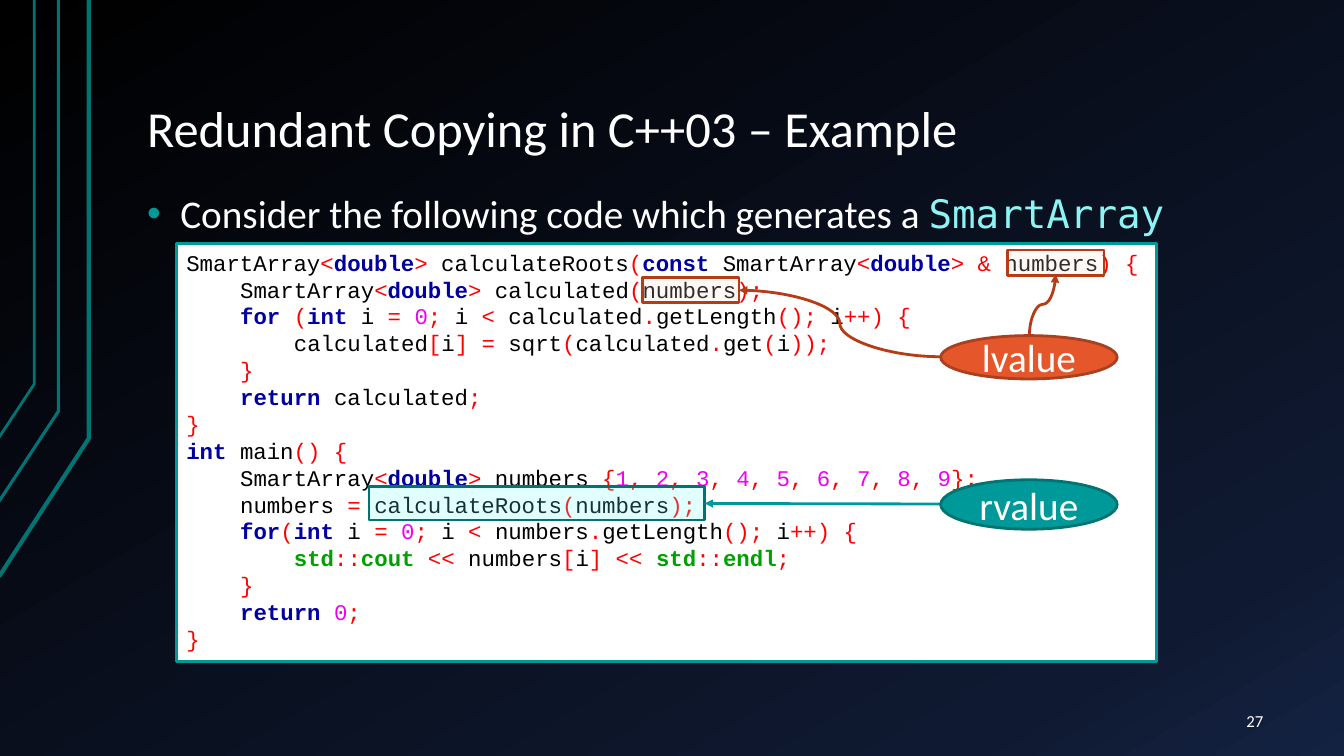
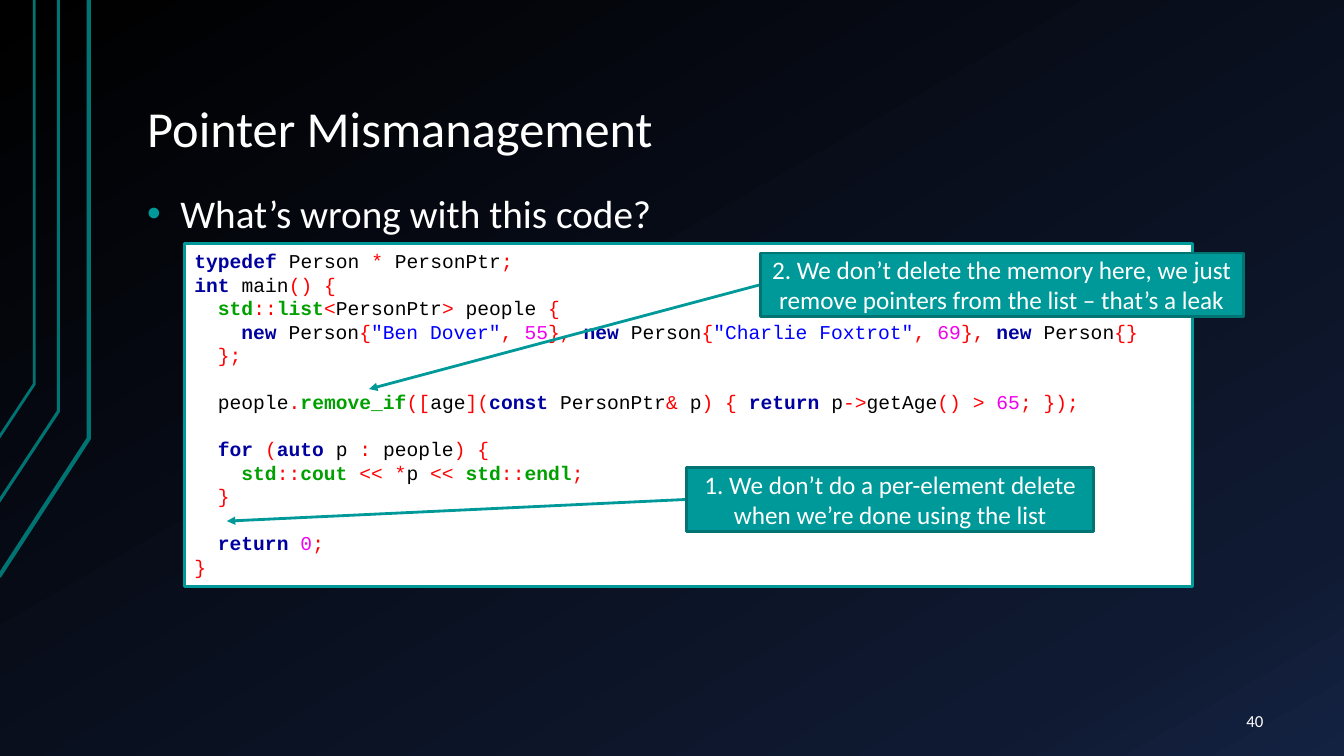
"""Build two C++ teaching slides: redundant copying and pointer mismanagement."""
from itertools import groupby

from lxml import etree
from pptx import Presentation
from pptx.dml.color import RGBColor
from pptx.enum.shapes import MSO_CONNECTOR, MSO_SHAPE
from pptx.enum.text import MSO_ANCHOR, MSO_AUTO_SIZE, PP_ALIGN
from pptx.oxml.ns import qn
from pptx.util import Inches, Pt

RECT, OVAL = MSO_SHAPE.RECTANGLE, MSO_SHAPE.OVAL
STRAIGHT, CURVE = MSO_CONNECTOR.STRAIGHT, MSO_CONNECTOR.CURVE
TOP, MIDDLE, BOTTOM = MSO_ANCHOR.TOP, MSO_ANCHOR.MIDDLE, MSO_ANCHOR.BOTTOM
LEFT, CENTER, RIGHT = PP_ALIGN.LEFT, PP_ALIGN.CENTER, PP_ALIGN.RIGHT
NO_AUTOFIT = MSO_AUTO_SIZE.NONE
LEFT_SIDE, RIGHT_SIDE = 1, 3

WHITE = RGBColor(0xFF, 0xFF, 0xFF)
BLACK = RGBColor(0x00, 0x00, 0x00)
TEAL = RGBColor(0x00, 0x99, 0x99)
DARK_TEAL = RGBColor(0x00, 0x73, 0x73)
AQUA = RGBColor(0x70, 0xFF, 0xFF)
PALE_AQUA = RGBColor(0x8C, 0xF4, 0xF2)
ORANGE = RGBColor(0xE5, 0x57, 0x2B)
BROWN = RGBColor(0xA9, 0x40, 0x20)
RUST = RGBColor(0xB6, 0x3C, 0x16)
PEACH = RGBColor(0xFA, 0xDD, 0xD5)
SYMBOL_RED = RGBColor(0xFF, 0x00, 0x00)
KEYWORD_NAVY = RGBColor(0x00, 0x00, 0xA0)
LIBRARY_GREEN = RGBColor(0x00, 0xA0, 0x00)
NUMBER_PINK = RGBColor(0xF0, 0x00, 0xF0)
STRING_BLUE = RGBColor(0x00, 0x00, 0xFF)

BODY_FONT, CODE_FONT, NAME_FONT = "Calibri", "Courier New", "DejaVu Sans Mono"
KEYWORDS = {"double", "const", "for", "int", "return", "typedef", "new", "auto"}
LIBRARY = {"std", "cout", "endl", "list", "remove_if"}
BACKGROUND_STOPS = [(0, "000000"), (85, "0F1931"), (100, "142242")]
EDGE_LINES = [
    ([(-0.01, 5.72), (0.88, 4.35), (0.88, 0)], 3),
    ([(-0.02, 4.99), (0.58, 4.08), (0.58, 0)], 2.25),
    ([(-0.01, 4.34), (0.34, 3.81), (0.34, 0)], 2),
]

ROOTS_CODE = """\
SmartArray<double> calculateRoots(const SmartArray<double> & numbers) {
    SmartArray<double> calculated(numbers);
    for (int i = 0; i < calculated.getLength(); i++) {
        calculated[i] = sqrt(calculated.get(i));
    }
    return calculated;
}
int main() {
    SmartArray<double> numbers {1, 2, 3, 4, 5, 6, 7, 8, 9};
    numbers = calculateRoots(numbers);
    for(int i = 0; i < numbers.getLength(); i++) {
        std::cout << numbers[i] << std::endl;
    }
    return 0;
}"""
PEOPLE_CODE = """\
typedef Person * PersonPtr;
int main() {
  std::list<PersonPtr> people {
    new Person{"Ben Dover", 55}, new Person{"Charlie Foxtrot", 69}, new Person{}
  };

  people.remove_if([age](const PersonPtr& p) { return p->getAge() > 65; });

  for (auto p : people) {
    std::cout << *p << std::endl;
  }

  return 0;
}"""
SLIDES = [
    ("Redundant Copying in C++03 – Example",
     "Consider the following code which generates a ", "SmartArray",
     "27", ROOTS_CODE, 16, (1.75, 2.42, 9.72, 4.14)),
    ("Pointer Mismanagement", "What’s wrong with this code?", "",
     "40", PEOPLE_CODE, 14, (1.83, 2.42, 10, 3.4)),
]


def write(paragraph, text, size=28, color=WHITE, font=BODY_FONT, bold=False, align=LEFT):
    """Add one formatted run to a paragraph."""
    paragraph.alignment = align
    run = paragraph.add_run()
    run.text = text
    run.font.name, run.font.size, run.font.bold = font, Pt(size), bold
    run.font.color.rgb = color


def draw(slide, at, fill, line, preset=RECT, opacity=100, anchor=MIDDLE):
    """Add a filled and outlined preset shape."""
    shape = slide.shapes.add_shape(preset, *map(Inches, at))
    shape.shadow.inherit = False
    shape.fill.solid()
    shape.fill.fore_color.rgb = fill
    shape.line.color.rgb = line
    shape.line.width = Pt(2)
    if opacity < 100:
        tint = shape.fill._xPr.find(qn("a:solidFill"))[0]
        etree.SubElement(tint, qn("a:alpha"), val=str(opacity * 1000))
    shape.text_frame.word_wrap = True
    shape.text_frame.vertical_anchor = anchor
    return shape


prs = Presentation()
prs.slide_width, prs.slide_height = Inches(13.33), Inches(7.5)
master = prs.slide_master
backdrop = master.background.fill
backdrop.gradient()
backdrop.gradient_angle = 300
stops = master.element.find(".//" + qn("a:gsLst"))
for stop in list(stops):
    stops.remove(stop)
for position, shade in BACKGROUND_STOPS:
    stop = etree.SubElement(stops, qn("a:gs"), pos=str(position * 1000))
    etree.SubElement(stop, qn("a:srgbClr"), val=shade)

title_only = prs.slide_layouts[5]
slides = [prs.slides.add_slide(title_only) for _ in SLIDES]

for points, width in EDGE_LINES:
    start, *corners = [(Inches(x), Inches(y)) for x, y in points]
    builder = slides[0].shapes.build_freeform(*start)
    builder.add_line_segments(corners, close=False)
    edge = builder.convert_to_shape()
    edge.shadow.inherit = False
    edge.fill.background()
    edge.line.color.rgb = DARK_TEAL
    edge.line.width = Pt(width)
    master.shapes.element.append(edge.element)

for slide, (heading, lead, lead_name, number, code, size, panel_at) in zip(slides, SLIDES):
    title = slide.shapes.title
    title.left, title.top = Inches(1.33), Inches(0.3)
    title.width, title.height = Inches(11.33), Inches(1.34)
    question = slide.shapes.add_textbox(*map(Inches, (1.33, 1.86, 11.33, 4.88)))
    page = slide.shapes.add_textbox(*map(Inches, (11.55, 6.95, 1.11, 0.4)))
    for holder, anchor in ((title, BOTTOM), (question, TOP), (page, MIDDLE)):
        frame = holder.text_frame
        frame.auto_size = NO_AUTOFIT
        frame.word_wrap = True
        frame.vertical_anchor = anchor
        frame.margin_left = frame.margin_right = Inches(0.13)
        frame.margin_top = frame.margin_bottom = Inches(0.07)

    title_line = title.text_frame.paragraphs[0]
    title_line.line_spacing = 0.9
    write(title_line, heading, size=36)
    write(page.text_frame.paragraphs[0], number, size=12, align=RIGHT)

    lead_line = question.text_frame.paragraphs[0]
    lead_line.line_spacing = 0.9
    write(lead_line, lead)
    if lead_name:
        write(lead_line, lead_name, color=PALE_AQUA, font=NAME_FONT)
    bullet = lead_line._p.get_or_add_pPr()
    bullet.set("marL", str(Inches(0.33)))
    bullet.set("indent", str(-Inches(0.33)))
    bullet_color = etree.SubElement(bullet, qn("a:buClr"))
    etree.SubElement(bullet_color, qn("a:srgbClr"), val=str(TEAL))
    etree.SubElement(bullet, qn("a:buFont"), typeface="Arial")
    etree.SubElement(bullet, qn("a:buChar"), char="•")

    panel = draw(slide, panel_at, WHITE, TEAL, anchor=TOP).text_frame
    line_height = Pt(size * 1.2)
    gap = 0
    for row, source in enumerate(code.split("\n")):
        if not source:
            gap += line_height
            continue
        statement = panel.add_paragraph() if row else panel.paragraphs[0]
        statement.line_spacing = line_height
        statement.space_before = gap
        gap = 0
        tokens = source.lstrip()
        depth = len(source) - len(tokens)
        statement._p.get_or_add_pPr().set("marL", str(Pt(depth * size * 0.6)))
        for part, chunk in enumerate(tokens.split('"')):
            if part % 2:
                write(statement, f'"{chunk}"', size=size, color=STRING_BLUE, font=CODE_FONT)
                continue
            for is_word, letters in groupby(chunk, lambda c: c.isalnum() or c == "_"):
                token = "".join(letters)
                if not is_word:
                    color = SYMBOL_RED
                elif token in KEYWORDS:
                    color = KEYWORD_NAVY
                elif token in LIBRARY:
                    color = LIBRARY_GREEN
                else:
                    color = NUMBER_PINK if token.isdigit() else BLACK
                write(statement, token, size=size, color=color, font=CODE_FONT,
                      bold=token in KEYWORDS | LIBRARY)

copying, pointers = slides
call = draw(copying, (3.66, 4.83, 3.33, 0.33), AQUA, DARK_TEAL, opacity=20)
for left, top in ((6.37, 2.75), (9.99, 2.48)):
    draw(copying, (left, top, 0.96, 0.25), PEACH, RUST, opacity=20)

arrows = []
for slide, kind, begin, end, color in (
    (copying, CURVE, (9.33, 3.54), (7.33, 2.88), RUST),
    (copying, CURVE, (10.64, 3.15), (10.04, 2.89), RUST),
    (copying, STRAIGHT, (9.33, 5), (6.99, 5), TEAL),
    (pointers, STRAIGHT, (7.54, 2.83), (3.66, 3.86), TEAL),
    (pointers, STRAIGHT, (6.81, 4.96), (2.25, 5.17), TEAL),
):
    arrow = slide.shapes.add_connector(kind, *map(Inches, begin + end))
    arrow.line.color.rgb = color
    arrow.line.width = Pt(2)
    etree.SubElement(arrow.line._get_or_add_ln(), qn("a:tailEnd"), type="triangle")
    etree.SubElement(arrow.element.spPr, qn("a:effectLst"))
    arrows.append(arrow)
_, upward_arrow, call_arrow, leak_arrow, delete_arrow = arrows
upward_arrow.element.spPr.find(qn("a:xfrm")).set("rot", str(90 * 60000))
call_arrow.end_connect(call, RIGHT_SIDE)

for label, top, height, fill, line in (
    ("lvalue", 3.33, 0.43, ORANGE, BROWN),
    ("rvalue", 4.76, 0.49, TEAL, DARK_TEAL),
):
    oval = draw(copying, (9.33, top, 1.75, height), fill, line, preset=OVAL)
    write(oval.text_frame.paragraphs[0], label, align=CENTER)

for note, at, arrow in (
    ("2. We don’t delete the memory here, we just remove pointers from the list – that’s a leak",
     (7.54, 2.51, 4.79, 0.63), leak_arrow),
    ("1. We don’t do a per-element delete when we’re done using the list",
     (6.81, 4.64, 4.04, 0.63), delete_arrow),
):
    callout = draw(pointers, at, TEAL, DARK_TEAL)
    write(callout.text_frame.paragraphs[0], note, size=18, align=CENTER)
    arrow.begin_connect(callout, LEFT_SIDE)

prs.save("out.pptx")
